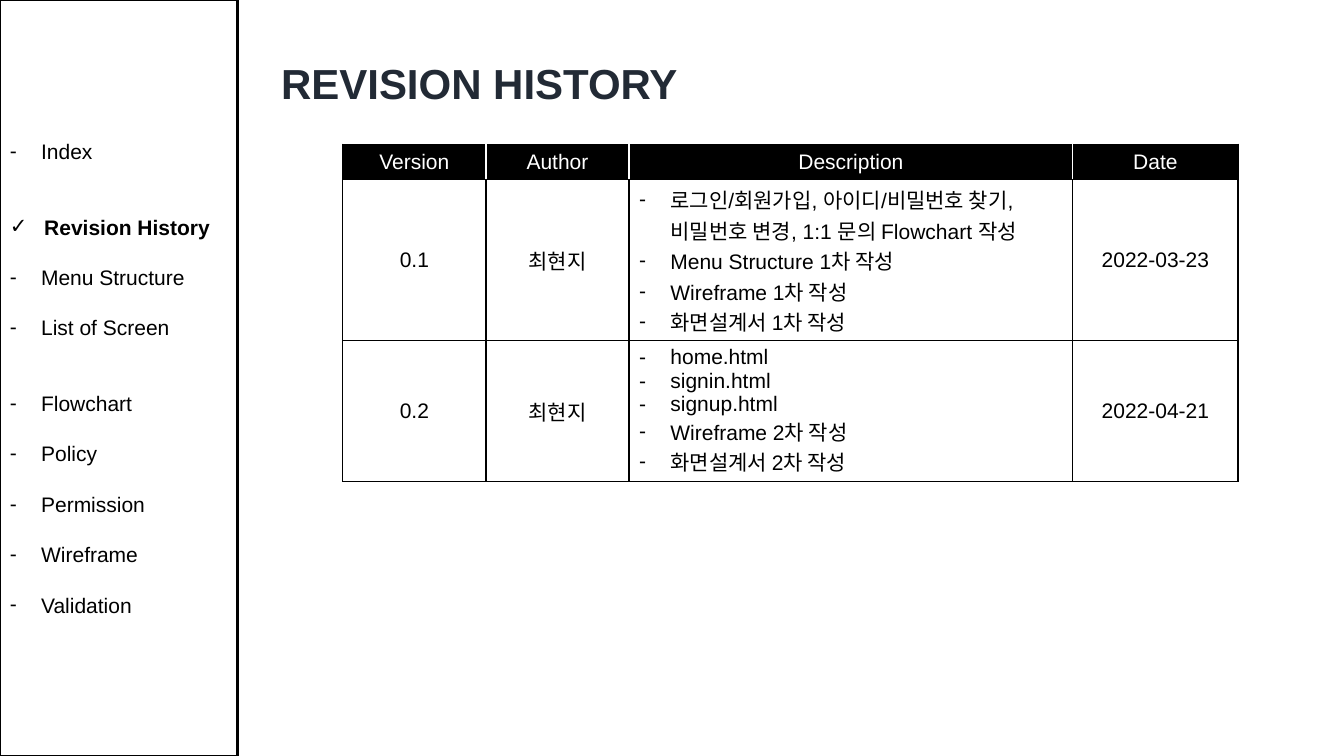
"""Build the revision history slide with its side menu and version table."""
from pptx import Presentation
from pptx.dml.color import RGBColor
from pptx.enum.shapes import MSO_SHAPE
from pptx.enum.text import MSO_ANCHOR, PP_ALIGN
from pptx.oxml.ns import qn
from pptx.util import Inches, Pt
from lxml.etree import SubElement

TITLE = "REVISION HISTORY"
MENU = [
    ["Index"],
    ["Revision History", "Menu Structure", "List of Screen"],
    ["Flowchart", "Policy", "Permission", "Wireframe", "Validation"],
]
ACTIVE = "Revision History"
HEAD = ["Version", "Author", "Description", "Date"]
ROWS = [
    ["0.1", "최현지", [
        "로그인/회원가입, 아이디/비밀번호 찾기, 비밀번호 변경, 1:1 문의 Flowchart 작성",
        "Menu Structure 1차 작성", "Wireframe 1차 작성", "화면설계서 1차 작성"],
     "2022-03-23"],
    ["0.2", "최현지", [
        "home.html", "signin.html", "signup.html",
        "Wireframe 2차 작성", "화면설계서 2차 작성"],
     "2022-04-21"],
]
WIDTHS = [1.42, 1.42, 4.4, 1.64]
HEIGHTS = [0.33, 1.6, 1.4]
THEME = {"font": "Arial", "title": 30, "body": 15, "line": 18,
         "black": "000000", "white": "FFFFFF", "navy": "222A35"}


def paint(fill, color):
    fill.solid()
    fill.fore_color.rgb = RGBColor.from_string(THEME[color])


def write(para, text, size="body", color="black", bold=False,
          align=PP_ALIGN.LEFT, bullet=None, indent=0.31, before=0, line=None):
    para.alignment = align
    para.space_before = Pt(before)
    if line:
        para.line_spacing = Pt(line)
    if bullet:
        props = para._p.get_or_add_pPr()
        props.set("marL", str(Inches(indent)))
        props.set("indent", str(-Inches(indent)))
        SubElement(props, qn("a:buFont")).set("typeface", THEME["font"])
        SubElement(props, qn("a:buChar")).set("char", bullet)
    run = para.add_run()
    run.text = text
    font = run.font
    font.name, font.size, font.bold = THEME["font"], Pt(THEME[size]), bold
    font.color.rgb = RGBColor.from_string(THEME[color])


def next_para(frame, first):
    return frame.paragraphs[0] if first else frame.add_paragraph()


def edge(cell, sides):
    props = cell._tc.get_or_add_tcPr()
    for spot, (side, color) in enumerate(sides.items()):
        line = SubElement(props, qn("a:ln" + side))
        line.set("w", str(Pt(1)))
        fill = SubElement(line, qn("a:solidFill"))
        SubElement(fill, qn("a:srgbClr")).set("val", THEME[color])
        props.insert(spot, line)


def add_title(slide):
    box = slide.shapes.add_textbox(
        Inches(2.69), Inches(0.31), Inches(10.33), Inches(1.02))
    frame = box.text_frame
    frame.word_wrap = True
    frame.vertical_anchor = MSO_ANCHOR.MIDDLE
    write(frame.paragraphs[0], TITLE, size="title", color="navy", bold=True)


def add_table(slide):
    table = slide.shapes.add_table(
        len(HEIGHTS), len(WIDTHS), Inches(3.4), Inches(1.43),
        Inches(sum(WIDTHS)), Inches(sum(HEIGHTS))).table
    table.first_row = table.horz_banding = False
    for col, width in zip(table.columns, WIDTHS):
        col.width = Inches(width)
    for row, height in zip(table.rows, HEIGHTS):
        row.height = Inches(height)
    last = len(WIDTHS) - 1
    for r, row in enumerate([HEAD] + ROWS):
        ink, back = ("black", "white") if r else ("white", "black")
        for c, item in enumerate(row):
            cell = table.cell(r, c)
            cell.vertical_anchor = MSO_ANCHOR.MIDDLE
            paint(cell.fill, back)
            edge(cell, {"L": ink if c else "black",
                        "R": ink if c < last else "black",
                        "T": "black", "B": "black"})
            listed = isinstance(item, list)
            look = {"bullet": "-"} if listed else {"align": PP_ALIGN.CENTER}
            for n, text in enumerate(item if listed else [item]):
                write(next_para(cell.text_frame, n == 0), text,
                      color=ink, **look)


def add_menu(slide):
    panel = slide.shapes.add_shape(
        MSO_SHAPE.RECTANGLE, 0, 0, Inches(2.36), Inches(7.5))
    panel.shadow.inherit = False
    paint(panel.fill, "white")
    paint(panel.line.fill, "black")
    panel.line.width = Pt(2)
    frame = panel.text_frame
    frame.word_wrap = True
    frame.vertical_anchor = MSO_ANCHOR.MIDDLE
    step = THEME["line"]
    for g, group in enumerate(MENU):
        for n, text in enumerate(group):
            first = g == n == 0
            gap = 0 if first else step if n else 2 * step
            active = text == ACTIVE
            write(next_para(frame, first), text, bold=active,
                  bullet="✓" if active else "-",
                  indent=0.34 if active else 0.31, before=gap, line=step)


def main():
    deck = Presentation()
    deck.slide_width, deck.slide_height = Inches(13.33), Inches(7.5)
    slide = deck.slides.add_slide(deck.slide_layouts[6])
    add_title(slide)
    add_table(slide)
    add_menu(slide)
    deck.save("out.pptx")


if __name__ == "__main__":
    main()
